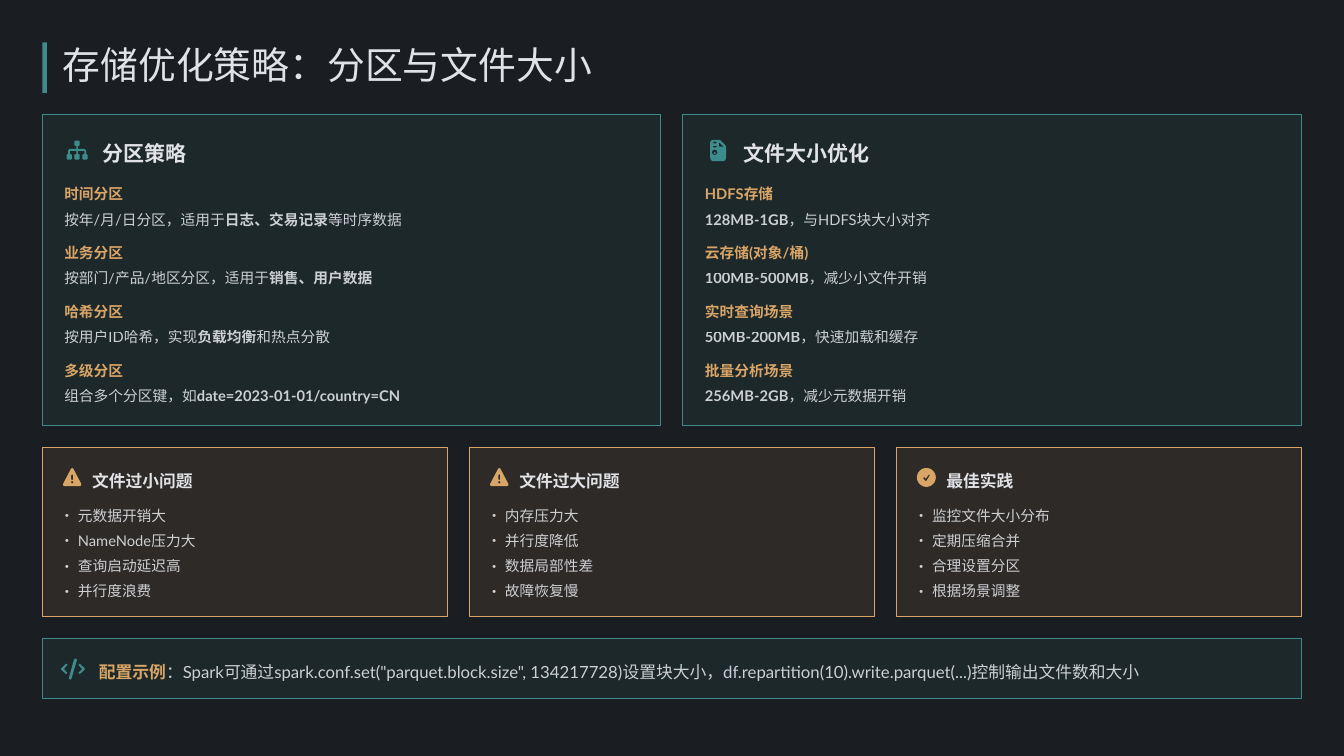
from math import cos, pi, sin

from lxml.etree import SubElement
from pptx import Presentation
from pptx.dml.color import RGBColor
from pptx.enum.shapes import MSO_SHAPE
from pptx.enum.text import MSO_ANCHOR
from pptx.oxml.ns import qn
from pptx.util import Inches, Pt

BACKGROUND, TEAL, AMBER, LIGHT = "1A1D21", "3D8B8B", "D9A566", "E0E2E6"
LATIN_FONT, CHINESE_FONT = "Lato", "Noto Sans CJK SC"

# Text between ** marks is bold.
TITLE = "存储优化策略：分区与文件大小"
STRATEGY_CARDS = [
    ("分区策略", "hierarchy", [
        ("时间分区", "按年/月/日分区，适用于**日志、交易记录**等时序数据"),
        ("业务分区", "按部门/产品/地区分区，适用于**销售、用户数据**"),
        ("哈希分区", "按用户ID哈希，实现**负载均衡**和热点分散"),
        ("多级分区", "组合多个分区键，如**date=2023-01-01/country=CN**"),
    ]),
    ("文件大小优化", "file", [
        ("HDFS存储", "**128MB-1GB**，与HDFS块大小对齐"),
        ("云存储(对象/桶)", "**100MB-500MB**，减少小文件开销"),
        ("实时查询场景", "**50MB-200MB**，快速加载和缓存"),
        ("批量分析场景", "**256MB-2GB**，减少元数据开销"),
    ]),
]
ISSUE_CARDS = [
    ("文件过小问题", "warning", ["元数据开销大", "NameNode压力大", "查询启动延迟高", "并行度浪费"]),
    ("文件过大问题", "warning", ["内存压力大", "并行度降低", "数据局部性差", "故障恢复慢"]),
    ("最佳实践", "check", ["监控文件大小分布", "定期压缩合并", "合理设置分区", "根据场景调整"]),
]
EXAMPLE_LABEL = "配置示例"
EXAMPLE = ('：Spark可通过spark.conf.set("parquet.block.size", 134217728)设置块大小，'
           "df.repartition(10).write.parquet(...)控制输出文件数和大小")

MARGIN, GAP, CONTENT_WIDTH = 0.56, 0.29, 16.66
STRATEGY_TOP, STRATEGY_HEIGHT = 1.51, 4.12
ISSUE_TOP, ISSUE_HEIGHT = 5.92, 2.24
EXAMPLE_TOP, EXAMPLE_HEIGHT = 8.45, 0.79


def circle(x, y, radius):
    return [(x + radius * cos(pi * i / 16), y + radius * sin(pi * i / 16)) for i in range(32)]


def block(x, y, width, height, cut=1):
    """Rectangle with small cut corners."""
    right, bottom = x + width, y + height
    return [(x + cut, y), (right - cut, y), (right, y + cut), (right, bottom - cut),
            (right - cut, bottom), (x + cut, bottom), (x, bottom - cut), (x, y + cut)]


# Closed outlines in hundredths of an inch; an outline inside another is a hole.
ICONS = {
    "hierarchy": [
        block(10.5, 1, 7, 7), *[block(x, 19, 7, 7) for x in (0, 10.5, 21)],
        [(13, 8), (15, 8), (15, 12), (24, 12), (26, 14), (26, 19), (23.5, 19), (23.5, 14.5),
         (15, 14.5), (15, 19), (13, 19), (13, 14.5), (4.5, 14.5), (4.5, 19), (2, 19),
         (2, 14), (4, 12), (13, 12)],
    ],
    "file": [
        [(1, 1), (3.5, 0), (12, 0), (14, 1), (20, 7), (21, 9), (21, 24), (20, 27), (17.5, 28),
         (3.5, 28), (1, 27), (0, 24), (0, 3.5)],
        [(11.5, 3), (11.5, 8), (12.5, 9), (18, 9)],
        block(3.5, 2.5, 5.5, 2), block(3.5, 8, 5.5, 2), circle(6, 16.5, 3.5), circle(6, 17.5, 1.2),
    ],
    "warning": [
        [(11, 1), (12.5, 0), (14, 1), (24.5, 21), (24.5, 23), (23, 24), (2, 24), (0.5, 23),
         (0.5, 21)],
        block(11.3, 8.5, 2.4, 7.5), circle(12.5, 19, 1.5),
    ],
    "check": [
        circle(12.5, 12.5, 12.5),
        [(16, 8.5), (17.2, 9.5), (12.5, 17.2), (11, 17), (8, 13.3), (9.5, 12), (11.7, 14)],
    ],
    "code": [
        [(18.5, 0), (21, 1.5), (13.5, 27), (12, 28), (10, 26.5), (17, 1)],
        [(24.5, 6.8), (31, 13), (31, 15), (24.5, 20.8), (22.8, 19), (27.5, 14), (22.8, 8.5)],
        [(6.5, 6.8), (0, 13), (0, 15), (6.5, 20.8), (8.2, 19), (3.5, 14), (8.2, 8.5)],
    ],
}


def rgb(color):
    return RGBColor.from_string(color)


def set_alpha(color_parent, percent):
    color_element = next(color_parent.iter(qn("a:srgbClr")))
    SubElement(color_element, qn("a:alpha")).set("val", str(percent * 1000))


def add_panel(slide, left, top, width, height, color, outlined=True):
    panel = slide.shapes.add_shape(
        MSO_SHAPE.RECTANGLE, Inches(left), Inches(top), Inches(width), Inches(height))
    panel.shadow.inherit = False
    panel.fill.solid()
    panel.fill.fore_color.rgb = rgb(color)
    if outlined:
        set_alpha(panel.fill._xPr, 10)
        panel.line.color.rgb = rgb(color)
        panel.line.width = Pt(1)
    else:
        panel.line.fill.background()


def add_icon(slide, name, left, top, color):
    outlines = [[(x * 10, y * 10) for x, y in outline] for outline in ICONS[name]]
    builder = slide.shapes.build_freeform(*outlines[0][0], scale=Inches(1) / 1000)
    for index, outline in enumerate(outlines):
        if index:
            builder.move_to(*outline[0])
        builder.add_line_segments(outline[1:], close=True)
    icon = builder.convert_to_shape(Inches(left), Inches(top))
    icon.shadow.inherit = False
    icon.fill.solid()
    icon.fill.fore_color.rgb = rgb(color)
    icon.line.fill.background()


def add_text_frame(slide, left, top, width, height, anchor=MSO_ANCHOR.MIDDLE):
    box = slide.shapes.add_textbox(Inches(left), Inches(top), Inches(width), Inches(height))
    frame = box.text_frame
    frame.margin_left = frame.margin_top = frame.margin_right = frame.margin_bottom = 0
    frame.word_wrap = True
    frame.vertical_anchor = anchor
    return frame


def write(paragraph, text, size, color=LIGHT, spacing=1.2, font=LATIN_FONT, alpha=100):
    paragraph.line_spacing = spacing
    paragraph.font.size = Pt(size)
    paragraph.font.name = font
    paragraph.font.color.rgb = rgb(color)
    properties = paragraph._p.pPr.find(qn("a:defRPr"))
    if alpha < 100:
        set_alpha(properties, alpha)
    east_asian = SubElement(properties, qn("a:ea"))
    east_asian.set("typeface", CHINESE_FONT)
    properties.find(qn("a:latin")).addnext(east_asian)
    for index, part in enumerate(text.split("**")):
        if part:
            run = paragraph.add_run()
            run.text = part
            run.font.bold = index % 2 == 1


def add_paragraph(frame, index):
    return frame.add_paragraph() if index else frame.paragraphs[0]


def add_bullet(paragraph):
    properties = paragraph._p.get_or_add_pPr()
    properties.set("marL", str(Inches(0.24)))
    properties.set("indent", str(-Inches(0.24)))
    SubElement(properties, qn("a:buFont")).set("typeface", CHINESE_FONT)
    SubElement(properties, qn("a:buChar")).set("char", "•")


def add_strategy_card(slide, left, width, heading, icon, items):
    add_panel(slide, left, STRATEGY_TOP, width, STRATEGY_HEIGHT, TEAL)
    add_icon(slide, icon, left + (0.36 if icon == "file" else 0.32), STRATEGY_TOP + 0.34, TEAL)
    frame = add_text_frame(slide, left + 0.8, STRATEGY_TOP + 0.28, width - 1.1, 0.39)
    write(frame.paragraphs[0], f"**{heading}**", 20)
    frame = add_text_frame(slide, left + 0.29, STRATEGY_TOP + 0.84, 7.71, 3.05, MSO_ANCHOR.TOP)
    for index, (label, detail) in enumerate(items):
        paragraph = add_paragraph(frame, index)
        if index:
            paragraph.space_before = Pt(8)
        write(paragraph, f"**{label}**", 14, AMBER, Pt(24))
        write(frame.add_paragraph(), detail, 14, spacing=Pt(24), alpha=90)


def add_issue_card(slide, left, width, heading, icon, points):
    add_panel(slide, left, ISSUE_TOP, width, ISSUE_HEIGHT, AMBER)
    add_icon(slide, icon, left + 0.27, ISSUE_TOP + 0.27, AMBER)
    frame = add_text_frame(slide, left + 0.66, ISSUE_TOP + 0.23, width - 0.9, 0.33)
    write(frame.paragraphs[0], f"**{heading}**", 16, spacing=1.3)
    frame = add_text_frame(slide, left + 0.23, ISSUE_TOP + 0.68, 5, 1.33, MSO_ANCHOR.TOP)
    for index, point in enumerate(points):
        paragraph = add_paragraph(frame, index)
        add_bullet(paragraph)
        write(paragraph, point, 14, spacing=Pt(24), alpha=90)


def add_row(slide, cards, add_card):
    width = (CONTENT_WIDTH - GAP * (len(cards) - 1)) / len(cards)
    for index, card in enumerate(cards):
        add_card(slide, MARGIN + index * (width + GAP), width, *card)


def main():
    presentation = Presentation()
    presentation.slide_width, presentation.slide_height = Inches(17.78), Inches(10)
    slide = presentation.slides.add_slide(presentation.slide_layouts[6])
    slide.background.fill.solid()
    slide.background.fill.fore_color.rgb = rgb(BACKGROUND)

    add_panel(slide, MARGIN, 0.56, 0.06, 0.67, TEAL, outlined=False)
    frame = add_text_frame(slide, 0.83, 0.61, 7.24, 0.56)
    write(frame.paragraphs[0], TITLE, 36, spacing=0.9, font=CHINESE_FONT)

    add_row(slide, STRATEGY_CARDS, add_strategy_card)
    add_row(slide, ISSUE_CARDS, add_issue_card)

    add_panel(slide, MARGIN, EXAMPLE_TOP, CONTENT_WIDTH, EXAMPLE_HEIGHT, TEAL)
    add_icon(slide, "code", MARGIN + 0.25, EXAMPLE_TOP + 0.26, TEAL)
    paragraph = add_text_frame(slide, 1.31, 8.68, 14.5, 0.33).paragraphs[0]
    write(paragraph, f"**{EXAMPLE_LABEL}**{EXAMPLE}", 16, spacing=1.3, alpha=90)
    paragraph.runs[0].font.color.rgb = rgb(AMBER)
    presentation.save("out.pptx")


if __name__ == "__main__":
    main()
